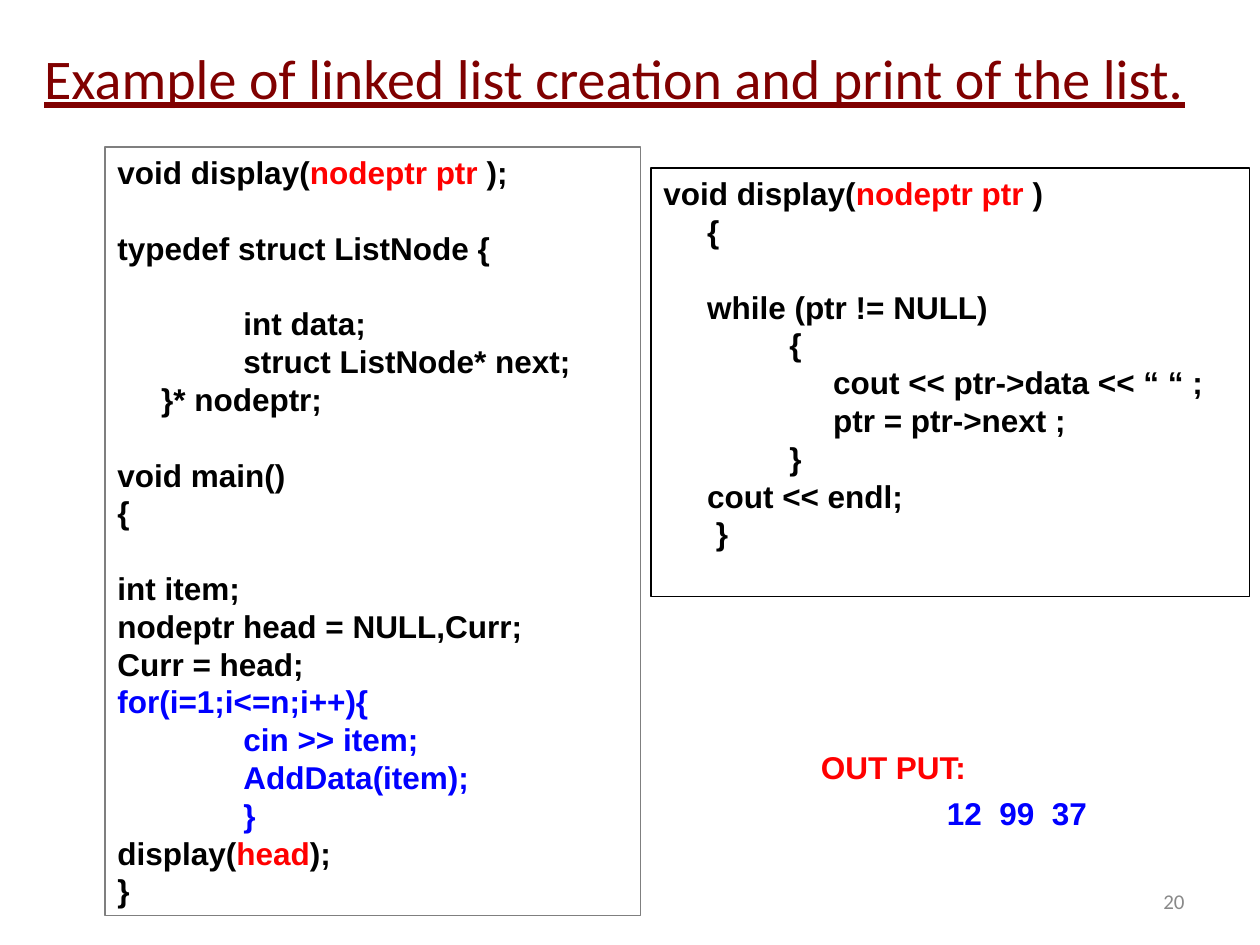
from pptx import Presentation
from pptx.dml.color import RGBColor
from pptx.enum.shapes import MSO_SHAPE as Shape
from pptx.enum.text import MSO_ANCHOR as Anchor, MSO_AUTO_SIZE as AutoSize, PP_ALIGN as Align
from pptx.util import Pt

BLACK = RGBColor(0, 0, 0)
RED = RGBColor(0xFF, 0, 0)
BLUE = RGBColor(0, 0, 0xFF)
MAROON = RGBColor(0x80, 0, 0)
GRAY = RGBColor(0x7F, 0x7F, 0x7F)
NUMBER_GRAY = RGBColor(0x89, 0x89, 0x89)

LINE = 21.6  # height of one line of code
SPACES, TAB = 25, 72  # the two steps of code indentation


class SlideBuilder:
    """Holds the current slide and the style of its text."""

    code_font, heading_font, code_size = "Arial", "Calibri", 18

    def __init__(self, presentation):
        self.slide = presentation.slides.add_slide(presentation.slide_layouts[5])

    def add_run(self, paragraph, text, color, font, size, bold=False):
        run = paragraph.add_run()
        run.text = text
        run.font.name = font
        run.font.size = Pt(size)
        run.font.bold = bold
        run.font.color.rgb = color
        return run

    def prepare_frame(self, shape, anchor):
        frame = shape.text_frame
        frame.word_wrap = True
        frame.auto_size = AutoSize.NONE
        frame.vertical_anchor = anchor
        return frame

    def title(self, text, left, top, width, height):
        shape = self.slide.shapes.title
        shape.left, shape.top, shape.width, shape.height = map(Pt, (left, top, width, height))
        paragraph = self.prepare_frame(shape, Anchor.MIDDLE).paragraphs[0]
        paragraph.alignment = Align.LEFT
        run = self.add_run(paragraph, text, MAROON, self.heading_font, 32)
        run.font.underline = True

    def slide_number(self, text, left, top, width, height):
        shape = self.slide.shapes.add_textbox(*map(Pt, (left, top, width, height)))
        paragraph = self.prepare_frame(shape, Anchor.MIDDLE).paragraphs[0]
        paragraph.alignment = Align.RIGHT
        self.add_run(paragraph, text, NUMBER_GRAY, self.heading_font, 12)

    def code_lines(self, shape, lines):
        """Write lines given as (indent, space before, (text, color), ...)."""
        frame = self.prepare_frame(shape, Anchor.TOP)
        for number, (indent, gap, *runs) in enumerate(lines):
            paragraph = frame.add_paragraph() if number else frame.paragraphs[0]
            paragraph.alignment = Align.LEFT
            paragraph.line_spacing = Pt(LINE)
            paragraph.space_before = Pt(gap)
            properties = paragraph._p.get_or_add_pPr()
            properties.set("marL", str(Pt(indent)))
            properties.set("indent", "0")
            for text, color in runs:
                self.add_run(paragraph, text, color, self.code_font, self.code_size, bold=True)

    def code_box(self, lines, border, left, top, width, height):
        shape = self.slide.shapes.add_shape(Shape.RECTANGLE, *map(Pt, (left, top, width, height)))
        shape.shadow.inherit = False
        shape.fill.background()
        shape.line.color.rgb = border
        shape.line.width = Pt(0.75)
        self.code_lines(shape, lines)

    def output(self, lines, left, top, width, height):
        shape = self.slide.shapes.add_textbox(*map(Pt, (left, top, width, height)))
        self.code_lines(shape, lines)


MAIN_PROGRAM = [
    (0, 0, ("void display(", BLACK), ("nodeptr ptr ", RED), (");", BLACK)),
    (0, LINE, ("typedef struct ListNode {", BLACK)),
    (TAB, LINE, ("int data;", BLACK)),
    (TAB, 0, ("struct ListNode* next;", BLACK)),
    (SPACES, 0, ("}* nodeptr;", BLACK)),
    (0, LINE, ("void main()", BLACK)),
    (0, 0, ("{", BLACK)),
    (0, LINE, ("int item;", BLACK)),
    (0, 0, ("nodeptr head = NULL,Curr;", BLACK)),
    (0, 0, ("Curr = head;", BLACK)),
    (0, 0, ("for(i=1;i<=n;i++){", BLUE)),
    (TAB, 0, ("cin >> item;", BLUE)),
    (TAB, 0, ("AddData(item);", BLUE)),
    (TAB, 0, ("}", BLUE)),
    (0, 0, ("display(", BLACK), ("head", RED), (");", BLACK)),
    (0, 0, ("}", BLACK)),
]

DISPLAY_FUNCTION = [
    (0, 0, ("void display(", BLACK), ("nodeptr ptr ", RED), (")", BLACK)),
    (SPACES, 0, ("{", BLACK)),
    (SPACES, LINE, ("while (ptr != NULL)", BLACK)),
    (TAB, 0, ("{", BLACK)),
    (TAB + SPACES, 0, ("cout << ptr->data << “ “ ;", BLACK)),
    (TAB + SPACES, 0, ("ptr = ptr->next ;", BLACK)),
    (TAB, 0, ("}", BLACK)),
    (SPACES, 0, ("cout << endl;", BLACK)),
    (SPACES + 5, 0, ("}", BLACK)),
]

OUTPUT = [
    (0, 0, ("OUT PUT:", RED)),
    (TAB, 4.7, ("12  99  37", BLUE)),
]


def main():
    presentation = Presentation()
    presentation.slide_width, presentation.slide_height = Pt(720), Pt(540)
    builder = SlideBuilder(presentation)
    builder.title("Example of linked list creation and print of the list.", 18, 21.6, 690, 44.6)
    builder.slide_number("20", 516, 500.5, 168, 28.8)
    builder.code_box(MAIN_PROGRAM, GRAY, 60, 84, 306, 439.2)
    builder.output(OUTPUT, 462, 424, 246, 55.4)
    builder.code_box(DISPLAY_FUNCTION, BLACK, 372, 96, 342, 244.8)
    presentation.save("out.pptx")


if __name__ == "__main__":
    main()
